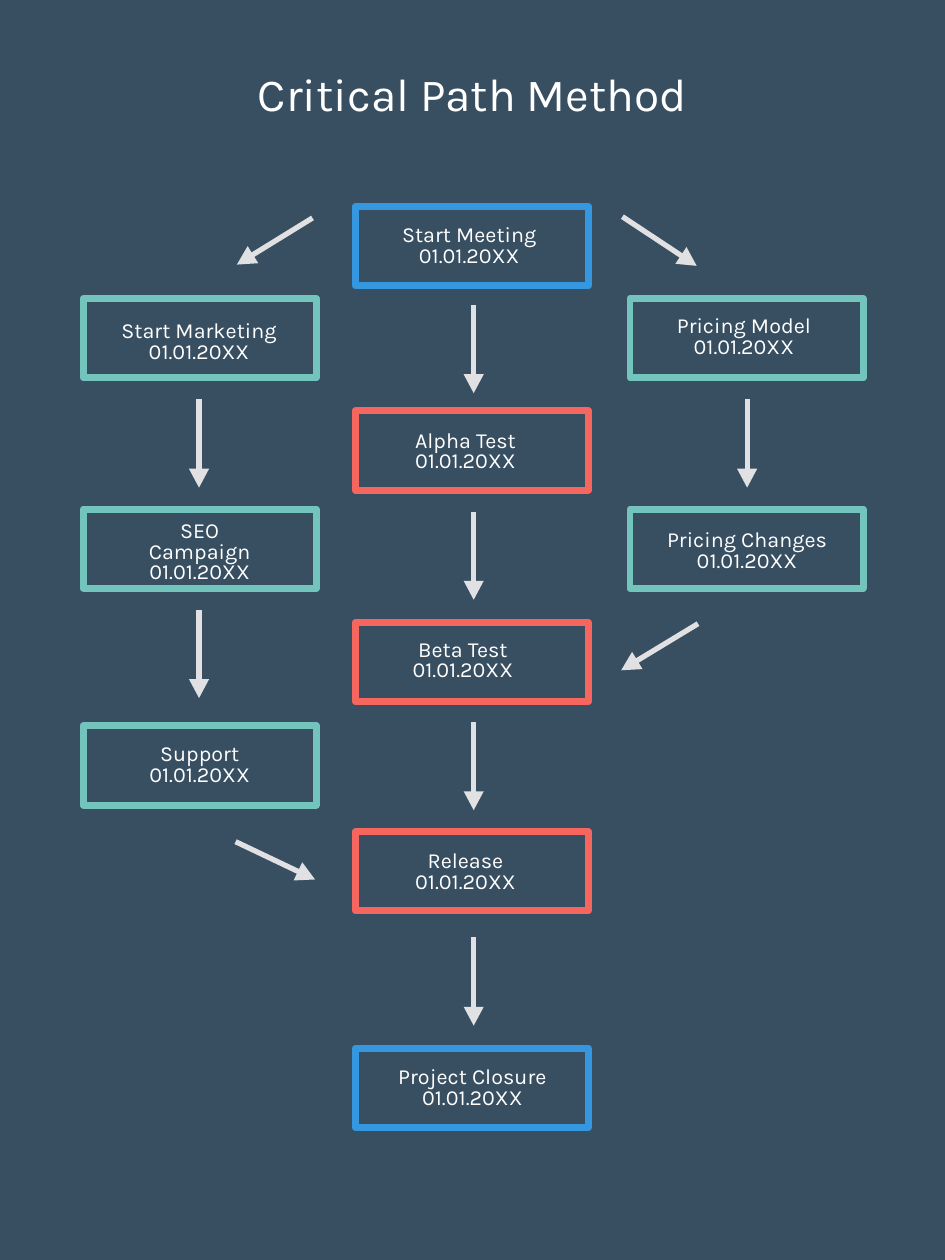
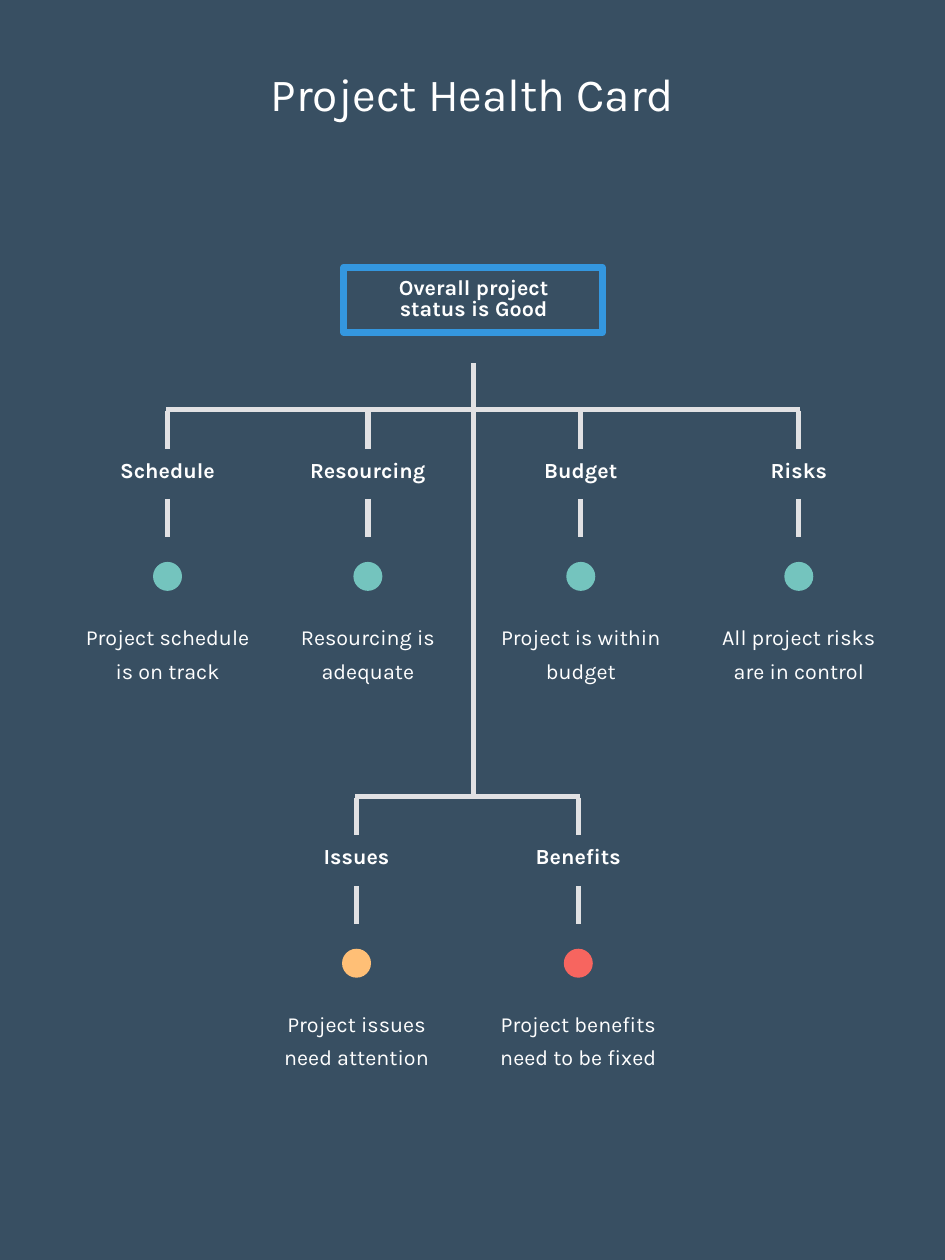
from math import hypot

from pptx import Presentation
from pptx.dml.color import RGBColor
from pptx.enum.shapes import MSO_CONNECTOR, MSO_SHAPE
from pptx.enum.text import MSO_ANCHOR as ANCHOR
from pptx.enum.text import MSO_AUTO_SIZE, PP_ALIGN
from pptx.oxml.ns import qn
from pptx.util import Pt

PX = 9144  # 100 px to the inch
PAGE_W, PAGE_H = 750, 1000
FONT = "Karla"
NAVY, WHITE, GREY = "384F62", "FFFFFF", "E1E1E3"
BLUE, TEAL, RED, AMBER = "3497DF", "74C4BE", "F7655F", "FFBF76"

# Critical path: task, frame colour, frame (left, top), text (left, top, width)
DATE = "01.01.20XX"
TASKS = [
    ("Start Meeting", BLUE, (282, 164), (311, 179, 123)),
    ("Pricing Model", TEAL, (500, 237), (529, 251, 123)),
    ("Start Marketing", TEAL, (66, 237), (87, 255, 142)),
    ("Pricing Changes", TEAL, (500, 404), (520, 421, 146)),
    ("SEO Campaign", TEAL, (66, 404), (97, 422, 123)),
    ("Support", TEAL, (66, 576), (97, 591, 123)),
    ("Alpha Test", RED, (282, 326), (308, 342, 123)),
    ("Beta Test", RED, (282, 494), (306, 508, 123)),
    ("Release", RED, (282, 660), (308, 676, 123)),
    ("Project Closure", BLUE, (282, 832), (297, 847, 156)),
]
TASK_W, TASK_H, TASK_INDENT = 185, 63, 5

# Column x: tops of its downward arrows
DOWN_ARROWS = {376: (242, 406, 573, 744), 158: (317, 484), 593: (317,)}
DOWN_LENGTH = 70
SLANTED_ARROWS = [
    ((494, 172), (553, 211)),
    ((248, 173), (188, 210)),
    ((187, 668), (250, 698)),
    ((554, 495), (493, 532)),
]
HEAD_LENGTH, HEAD_W = 15, 16

# Health card: bar y, then (centre x, area, dot colour, finding)
STATUS = "Overall project status is Good"
BRANCHES = [
    (325, [
        (133, "Schedule", TEAL, "Project schedule is on track"),
        (292, "Resourcing", TEAL, "Resourcing is adequate"),
        (461, "Budget", TEAL, "Project is within budget"),
        (634, "Risks", TEAL, "All project risks are in control"),
    ]),
    (632, [
        (283, "Issues", AMBER, "Project issues need attention"),
        (459, "Benefits", RED, "Project benefits need to be fixed"),
    ]),
]
TRUNK_X, TRUNK_TOP = 376, 288
STEM, AREA_W, DOT = 30, 135, 23
# Distances below the bar
STEM_DY, AREA_DY, LOWER_STEM_DY, DOT_DY, FINDING_DY = 1, 41, 71, 121, 164


def emu(*lengths):
    return [round(length * PX) for length in lengths]


def rgb(color):
    return RGBColor.from_string(color)


def add_text(slide, text, left, top, width, height, size=12.3, bold=False,
             spacing=0.8, anchor=ANCHOR.MIDDLE, indent=0):
    """Add centred text, one paragraph to each line of the string."""
    frame = slide.shapes.add_textbox(*emu(left, top, width, height)).text_frame
    frame.margin_left = frame.margin_right = 0
    frame.margin_top = frame.margin_bottom = 0
    frame.word_wrap = True
    frame.auto_size = MSO_AUTO_SIZE.SHAPE_TO_FIT_TEXT
    frame.vertical_anchor = anchor
    frame.text = text
    for paragraph in frame.paragraphs:
        paragraph.alignment = PP_ALIGN.CENTER
        paragraph.line_spacing = spacing
        if indent:
            properties = paragraph._p.get_or_add_pPr()
            for side in ("marL", "marR"):
                properties.set(side, str(indent * PX))
        for run in paragraph.runs:
            run.font.name, run.font.size, run.font.bold = FONT, Pt(size), bold
            run.font.color.rgb = rgb(WHITE)


def paint(shape, fill=None, line=None):
    shape.shadow.inherit = False
    if fill:
        shape.fill.solid()
        shape.fill.fore_color.rgb = rgb(fill)
    else:
        shape.fill.background()
    if line:
        shape.line.color.rgb = rgb(line)
        shape.line.width = Pt(4)
    else:
        shape.line.fill.background()


def add_shape(slide, kind, left, top, width, height, **colors):
    paint(slide.shapes.add_shape(kind, *emu(left, top, width, height)), **colors)


def add_line(slide, x1, y1, x2, y2):
    line = slide.shapes.add_connector(MSO_CONNECTOR.STRAIGHT, *emu(x1, y1, x2, y2))
    line.line.color.rgb = rgb(GREY)
    line.line.width = Pt(3)
    properties = line._element.spPr
    properties.append(properties.makeelement(qn("a:effectLst"), {}))


def add_arrow(slide, start, tip):
    """Draw a line from start that ends in a solid triangle at tip."""
    (x1, y1), (x2, y2) = start, tip
    length = hypot(x2 - x1, y2 - y1)
    ux, uy = (x2 - x1) / length, (y2 - y1) / length
    base_x, base_y = x2 - ux * HEAD_LENGTH, y2 - uy * HEAD_LENGTH
    add_line(slide, x1, y1, base_x + ux * 4, base_y + uy * 4)
    half = HEAD_W / 2
    corners = [emu(base_x + side * uy, base_y - side * ux) for side in (half, -half)]
    head = slide.shapes.build_freeform(*emu(x2, y2))
    head.add_line_segments(corners, close=True)
    paint(head.convert_to_shape(), fill=GREY)


def add_slide(prs, title):
    slide = prs.slides.add_slide(prs.slide_layouts[6])
    add_text(slide, title, 67, 60, 616, 36, size=26.3)
    return slide


def build_critical_path(prs):
    slide = add_slide(prs, "Critical Path Method")
    for _, color, (left, top), _ in TASKS:
        add_shape(slide, MSO_SHAPE.RECTANGLE, left, top, TASK_W, TASK_H,
                  fill=NAVY, line=color)
    for x, tops in DOWN_ARROWS.items():
        for top in tops:
            add_arrow(slide, (x, top), (x, top + DOWN_LENGTH))
    for start, tip in SLANTED_ARROWS:
        add_arrow(slide, start, tip)
    for task, _, _, (left, top, width) in TASKS:
        add_text(slide, f"{task}\n{DATE}", left, top, width, 34, indent=TASK_INDENT)


def build_health_card(prs):
    slide = add_slide(prs, "Project Health Card")
    add_text(slide, STATUS, 295, 221, 162, 34, bold=True)
    add_shape(slide, MSO_SHAPE.RECTANGLE, 273, 212, 205, 52, line=BLUE)
    add_line(slide, TRUNK_X, TRUNK_TOP, TRUNK_X, BRANCHES[-1][0])
    for bar_y, areas in BRANCHES:
        add_line(slide, areas[0][0] - 1, bar_y, areas[-1][0] + 1, bar_y)
        for x, area, color, finding in areas:
            for stem_dy in (STEM_DY, LOWER_STEM_DY):
                add_line(slide, x, bar_y + stem_dy, x, bar_y + stem_dy + STEM)
            left = x - AREA_W / 2
            add_text(slide, area, left, bar_y + AREA_DY, AREA_W, 17, bold=True)
            add_shape(slide, MSO_SHAPE.OVAL, x - DOT / 2, bar_y + DOT_DY, DOT, DOT,
                      fill=color)
            add_text(slide, finding, left, bar_y + FINDING_DY, AREA_W, 52,
                     spacing=1.3, anchor=ANCHOR.TOP)


def main():
    prs = Presentation()
    prs.slide_width, prs.slide_height = emu(PAGE_W, PAGE_H)
    backdrop = prs.slide_master.background.fill
    backdrop.solid()
    backdrop.fore_color.rgb = rgb(NAVY)
    build_critical_path(prs)
    build_health_card(prs)
    prs.save("out.pptx")


if __name__ == "__main__":
    main()
